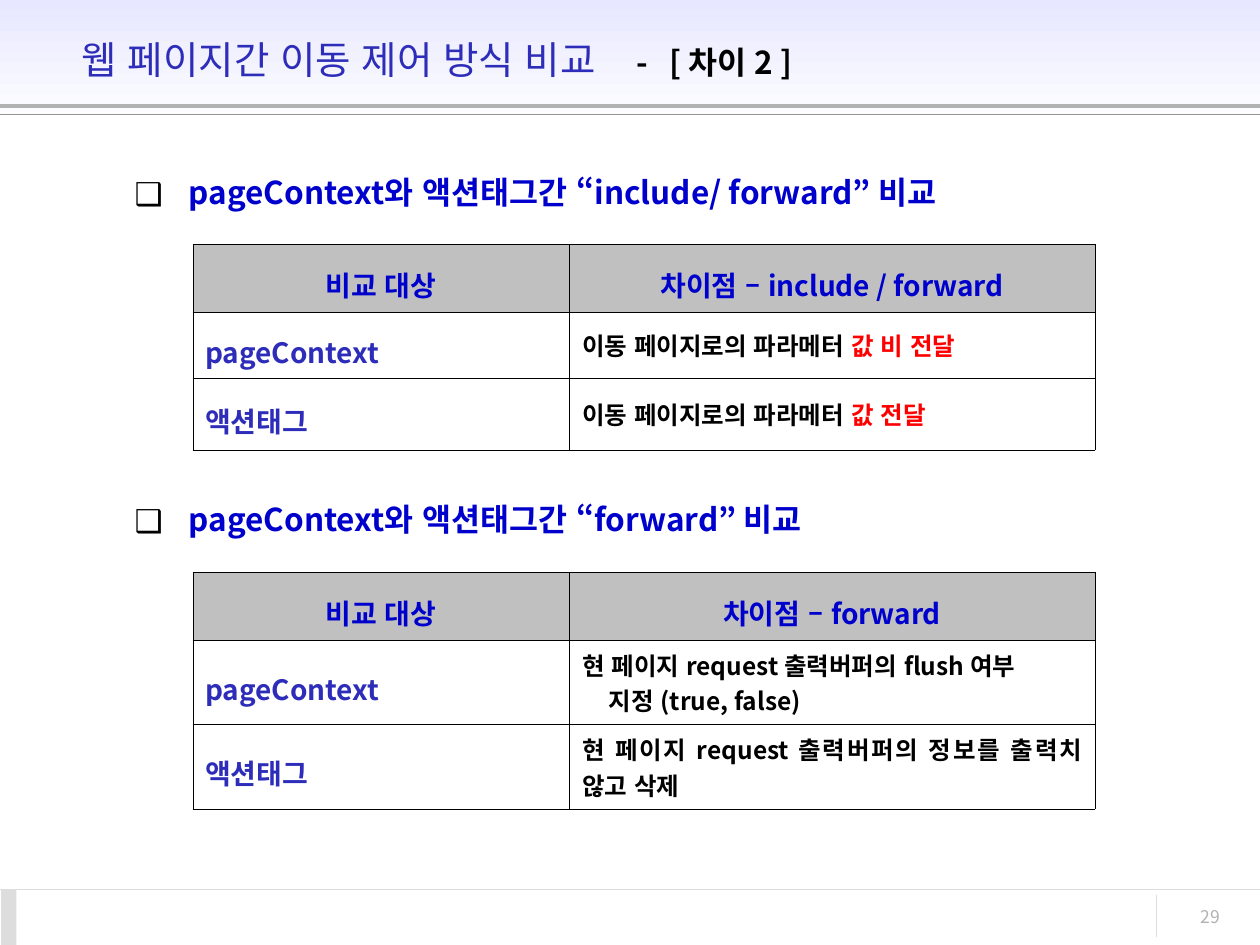
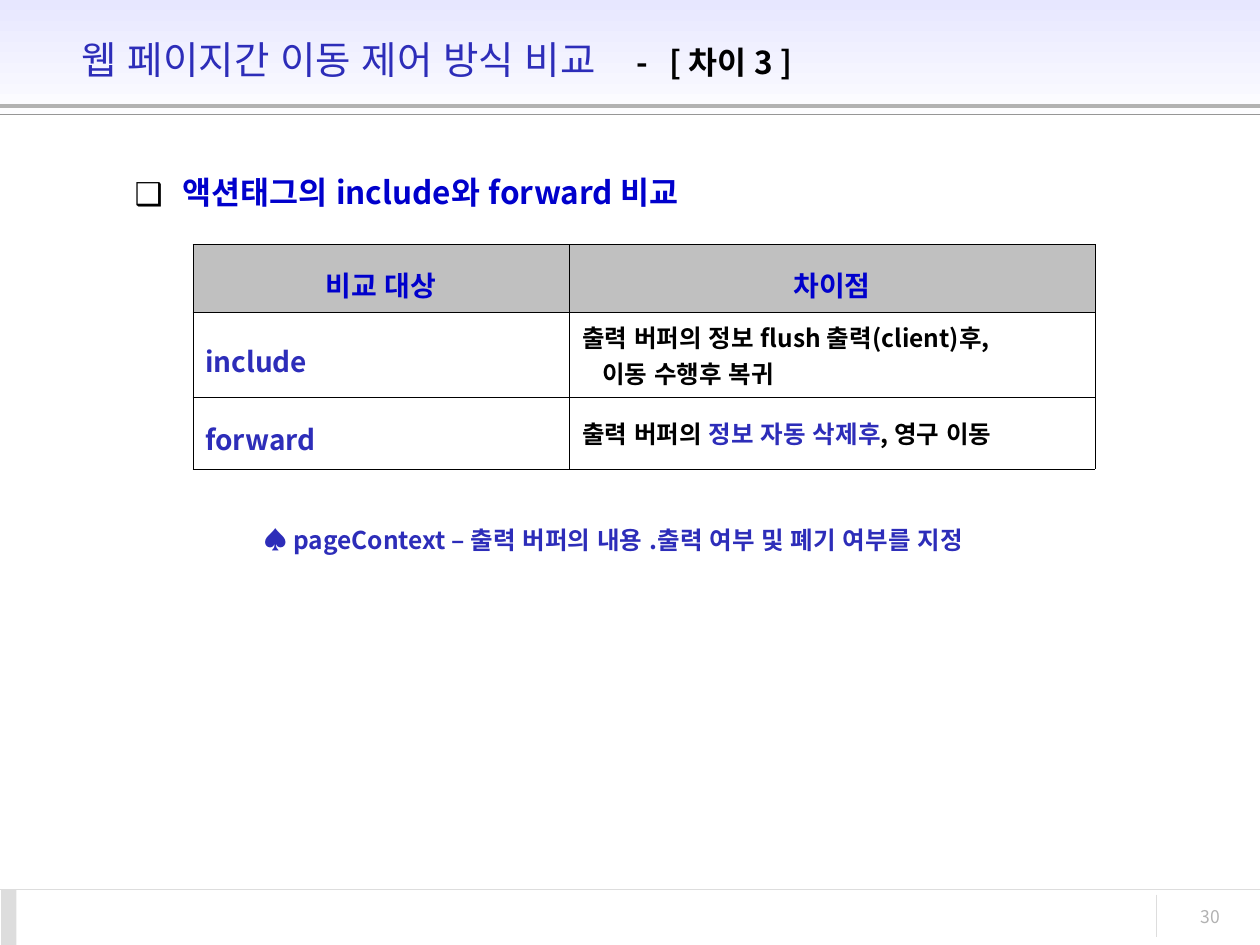
import pptx
import pptx.dml.color
import pptx.enum.lang
import pptx.enum.shapes
import pptx.enum.text
import pptx.util
from lxml import etree
from pptx.util import Inches

FONT = "Noto Sans CJK KR"
BLACK, BLUE, INDIGO, RED = "000000", "0000CC", "2D2DB9", "FF0000"
HEADER_GRAY, RULE_GRAY, NUMBER_GRAY = "C0C0C0", "DDDDDD", "B2B2B2"
COLUMN_WIDTHS = (2.99, 4.17)
HEADER_ROW, SHORT_ROW, ONE_LINE_ROW, TWO_LINE_ROW = 0.54, 0.52, 0.57, 0.67
ALIGN = pptx.enum.text.PP_ALIGN
MIDDLE = pptx.enum.text.MSO_ANCHOR.MIDDLE
RECTANGLE = pptx.enum.shapes.MSO_SHAPE.RECTANGLE
KOREAN = pptx.enum.lang.MSO_LANGUAGE_ID.KOREAN


def rgb(hex_color):
    return pptx.dml.color.RGBColor.from_string(hex_color)


def add_xml(parent, tag, **attributes):
    """Append an element of the DrawingML namespace."""
    element = etree.SubElement(parent, pptx.oxml.ns.qn(f"a:{tag}"))
    for key, value in attributes.items():
        element.set(key, str(value))
    return element


def write(paragraph, parts, size, bold=True, align=ALIGN.LEFT):
    """Fill a paragraph with (text, colour) parts."""
    paragraph.alignment = align
    for text, color in parts:
        run = paragraph.add_run()
        run.text = text
        run.font.size = pptx.util.Pt(size)
        run.font.bold = bold
        run.font.language_id = KOREAN
        run.font.name = FONT
        run.font.color.rgb = rgb(color)
        add_xml(run.font._element, "ea", typeface=FONT)


class Deck:
    def __init__(self):
        self.presentation = pptx.Presentation()
        self.presentation.slide_width = Inches(10)
        self.presentation.slide_height = Inches(7.5)
        self.slide = None

    def new_slide(self, number, topic, difference):
        layout = self.presentation.slide_layouts[5]
        self.slide = self.presentation.slides.add_slide(layout)
        band = self.block(0, 0, 10, 1)
        band.fill.gradient()
        band.fill.gradient_angle = 270
        for stop, color in zip(band.fill.gradient_stops, ("E7E7FF", "FFFFFF")):
            stop.color.rgb = rgb(color)
        self.rule(0, 0.84, 10, 0.84, NUMBER_GRAY, 2.25)
        self.rule(0, 0.91, 10, 0.91, "969696")
        self.rule(0, 7.06, 10, 7.06, RULE_GRAY)
        footer_mark = self.block(0.01, 7.06, 0.12, 0.44)
        footer_mark.fill.solid()
        footer_mark.fill.fore_color.rgb = rgb(RULE_GRAY)
        self.rule(9.18, 7.1, 9.18, 7.44, RULE_GRAY)
        page = self.text_box(8.86, 7.14, 0.92, 0.33)
        write(page.paragraphs[0], [(str(number), NUMBER_GRAY)], 10, False, ALIGN.RIGHT)
        self.title(topic, difference)

    def title(self, topic, difference):
        title = self.slide.shapes.title
        self.slide.shapes._spTree.append(title._element)  # in front of the band
        title.left, title.top = Inches(0.55), Inches(0.13)
        title.width, title.height = Inches(8.63), Inches(0.68)
        frame = title.text_frame
        frame.auto_size = pptx.enum.text.MSO_AUTO_SIZE.NONE
        frame.vertical_anchor = MIDDLE
        paragraph = frame.paragraphs[0]
        tabs = add_xml(paragraph._p.get_or_add_pPr(), "tabLst")
        for position in (4.4, 4.66):
            add_xml(tabs, "tab", pos=Inches(position), algn="l")
        write(paragraph, [(topic, INDIGO)], 22, False)
        write(paragraph, [(f"\t-\t[ {difference} ]", BLACK)], 18)

    def block(self, left, top, width, height):
        shape = self.slide.shapes.add_shape(
            RECTANGLE, Inches(left), Inches(top), Inches(width), Inches(height))
        shape.shadow.inherit = False
        shape.line.fill.background()
        return shape

    def rule(self, x1, y1, x2, y2, color, width=0.75):
        line = self.slide.shapes.add_connector(
            pptx.enum.shapes.MSO_CONNECTOR.STRAIGHT,
            Inches(x1), Inches(y1), Inches(x2), Inches(y2))
        line.line.color.rgb = rgb(color)
        line.line.width = pptx.util.Pt(width)
        add_xml(line._element.spPr, "effectLst")

    def text_box(self, left, top, width, height):
        frame = self.slide.shapes.add_textbox(
            Inches(left), Inches(top), Inches(width), Inches(height)).text_frame
        frame.word_wrap = True
        return frame

    def heading(self, top, text, indent=0.43):
        frame = self.text_box(0.97, top, 8.05, 0.63)
        frame.margin_top = Inches(0.14)
        properties = frame.paragraphs[0]._p.get_or_add_pPr()
        properties.set("marL", str(Inches(indent)))
        properties.set("indent", str(-Inches(indent)))
        add_xml(add_xml(properties, "buClr"), "srgbClr", val=BLACK)
        add_xml(properties, "buFont", typeface=FONT)
        add_xml(properties, "buChar", char="❑")
        write(frame.paragraphs[0], [(text, BLUE)], 18)

    def note(self, text):
        frame = self.text_box(1.99, 4.12, 5.99, 0.34)
        write(frame.paragraphs[0], [(text, INDIGO)], 14)

    def comparison(self, top, difference_header, rows, row_heights, indent=0):
        """Table of rows (target, lines); indent applies to second lines."""
        heights = (HEADER_ROW, *row_heights)
        table = self.slide.shapes.add_table(
            len(heights), 2, Inches(1.53), Inches(top),
            Inches(sum(COLUMN_WIDTHS)), Inches(sum(heights))).table
        for column, width in zip(table.columns, COLUMN_WIDTHS):
            column.width = Inches(width)
        for row, height in zip(table.rows, heights):
            row.height = Inches(height)
        for column, header in enumerate(("비교 대상", difference_header)):
            self.cell(table.cell(0, column), [[(header, BLUE)]], 16,
                      ALIGN.CENTER, 1.3, HEADER_GRAY)
        for index, (target, lines) in enumerate(rows, 1):
            self.cell(table.cell(index, 0), [[(target, INDIGO)]], 16, ALIGN.LEFT, 1.3)
            self.cell(table.cell(index, 1), lines, 14, ALIGN.JUSTIFY, indent=indent)

    def cell(self, cell, lines, size, align, spacing=None, fill=None, indent=0):
        cell.vertical_anchor = MIDDLE
        for side in ("lnL", "lnR", "lnT", "lnB"):
            border = add_xml(cell._tc.get_or_add_tcPr(), side, w=pptx.util.Pt(0.11))
            add_xml(add_xml(border, "solidFill"), "srgbClr", val=BLACK)
        if fill:
            cell.fill.solid()
            cell.fill.fore_color.rgb = rgb(fill)
        else:
            cell.fill.background()
        frame = cell.text_frame
        for index, parts in enumerate(lines):
            paragraph = frame.add_paragraph() if index else frame.paragraphs[0]
            if spacing:
                paragraph.line_spacing = spacing
            if index:
                paragraph._p.get_or_add_pPr().set("marL", str(Inches(indent)))
            write(paragraph, parts, size, align=align)


def main():
    deck = Deck()
    topic = "웹 페이지간 이동 제어 방식 비교"
    parameter = ("이동 페이지로의 파라메터 ", BLACK)

    deck.new_slide(29, topic, "차이 2")
    deck.heading(1.23, "pageContext와 액션태그간 “include/ forward” 비교")
    deck.comparison(1.94, "차이점 – include / forward", [
        ("pageContext", [[parameter, ("값 비 전달", RED)]]),
        ("액션태그", [[parameter, ("값 전달", RED)]]),
    ], (SHORT_ROW, ONE_LINE_ROW))
    deck.heading(3.83, "pageContext와 액션태그간 “forward” 비교")
    deck.comparison(4.54, "차이점 – forward", [
        ("pageContext", [[("현 페이지 request 출력버퍼의 flush 여부", BLACK)],
                         [("지정 (true, false)", BLACK)]]),
        ("액션태그", [[("현 페이지 request 출력버퍼의 정보를 출력치 않고 삭제", BLACK)]]),
    ], (TWO_LINE_ROW, TWO_LINE_ROW), indent=0.21)

    deck.new_slide(30, topic, "차이 3")
    deck.heading(1.23, "액션태그의 include와 forward 비교", indent=0.38)
    deck.comparison(1.94, "차이점", [
        ("include", [[("출력 버퍼의 정보 flush 출력(client)후,", BLACK)],
                     [("이동 수행후 복귀", BLACK)]]),
        ("forward", [[("출력 버퍼의 ", BLACK), ("정보 자동 삭제후", INDIGO),
                      (", 영구 이동", BLACK)]]),
    ], (TWO_LINE_ROW, ONE_LINE_ROW), indent=0.16)
    deck.note("♠ pageContext – 출력 버퍼의 내용 .출력 여부 및 폐기 여부를 지정")

    deck.presentation.save("out.pptx")


if __name__ == "__main__":
    main()
